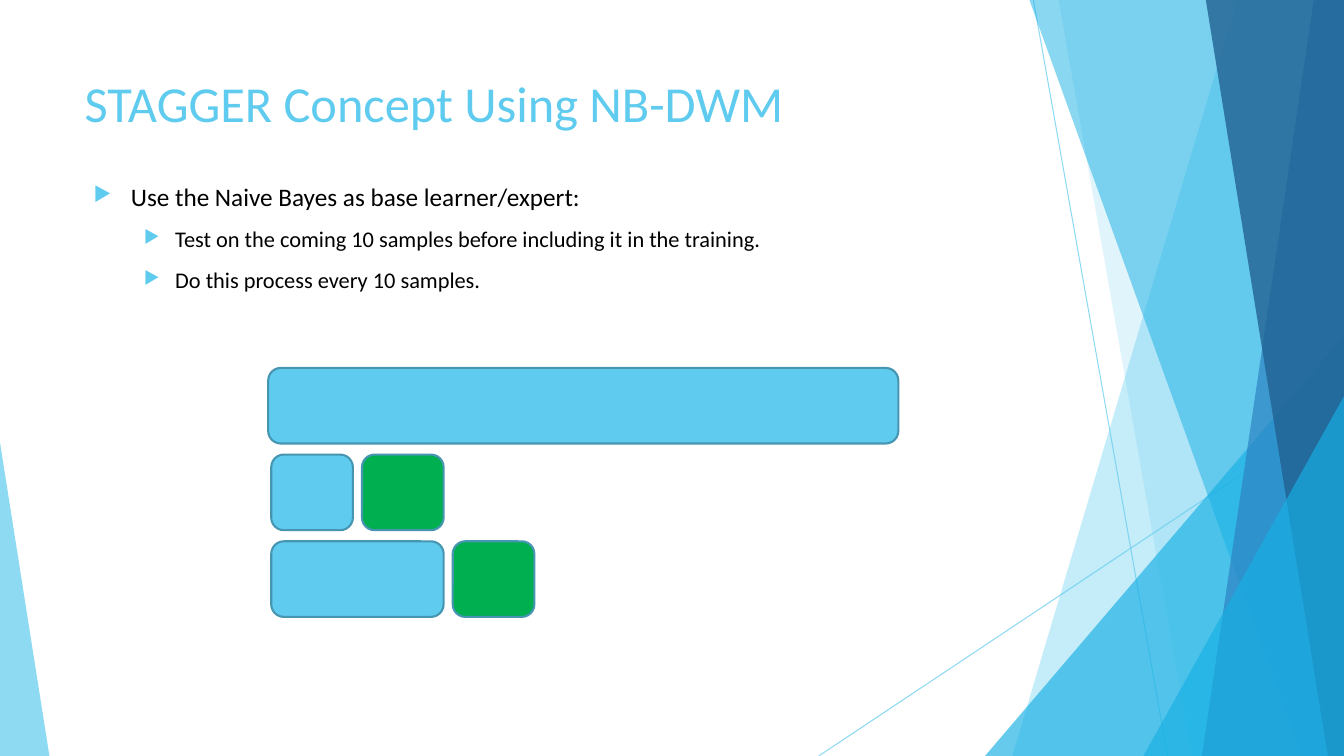
import pptx
import pptx.dml.color
import pptx.enum.shapes
import pptx.oxml
import pptx.oxml.ns
import pptx.util
from pptx.util import Inches

SKY, AQUA, BLUE, NAVY = "5FCBEF", "17B0E4", "2E83C3", "226292"
EDGE, GREEN, BLACK = "4696B1", "00B050", "000000"
WIDE, HIGH = 13.33, 7.5
KIND = pptx.enum.shapes.MSO_SHAPE


def rgb(code):
    return pptx.dml.color.RGBColor.from_string(code)


def add_xml(parent, tag, **attrs):
    """Append a DrawingML element to parent and return it."""
    node = parent.makeelement(pptx.oxml.ns.qn(tag), attrs)
    parent.append(node)
    return node


class Page:
    font = "Calibri"

    def __init__(self, slide):
        self.slide = slide
        self.shapes = slide.shapes

    def tint(self, fill, color, alpha=100):
        """Set a solid fill with the given opacity in percent."""
        fill.solid()
        fill.fore_color.rgb = rgb(color)
        if alpha < 100:
            node = fill._xPr.find(".//" + pptx.oxml.ns.qn("a:srgbClr"))
            add_xml(node, "a:alpha", val=str(alpha * 1000))

    def line(self, x1, y1, x2, y2):
        link = self.shapes.add_connector(
            pptx.enum.shapes.MSO_CONNECTOR.STRAIGHT,
            Inches(x1), Inches(y1), Inches(x2), Inches(y2))
        link.line.width = pptx.util.Pt(0.75)
        self.tint(link.line.fill, SKY, 70)
        add_xml(link._element.spPr, "a:effectLst")

    def facet(self, points, color, alpha):
        """Draw a borderless, see-through polygon."""
        spots = [(Inches(x), Inches(y)) for x, y in points]
        build = self.shapes.build_freeform(*spots[0])
        build.add_line_segments(spots[1:], close=True)
        self.plain(build.convert_to_shape(), color, alpha)

    def wedge(self, x, y, w, h, peak, color, alpha):
        """Draw a triangle whose apex sits at the fraction peak of its width."""
        shape = self.shapes.add_shape(
            KIND.ISOSCELES_TRIANGLE, Inches(x), Inches(y), Inches(w), Inches(h))
        shape.adjustments[0] = peak
        self.plain(shape, color, alpha)

    def plain(self, shape, color, alpha):
        shape.shadow.inherit = False
        shape.line.fill.background()
        self.tint(shape.fill, color, alpha)

    def block(self, x, y, w, h, color):
        shape = self.shapes.add_shape(
            KIND.ROUNDED_RECTANGLE, Inches(x), Inches(y), Inches(w), Inches(h))
        shape.shadow.inherit = False
        self.tint(shape.fill, color)
        shape.line.color.rgb = rgb(EDGE)
        shape.line.width = pptx.util.Pt(1.5)

    def frame(self, x, y, w, h):
        box = self.shapes.add_textbox(Inches(x), Inches(y), Inches(w), Inches(h))
        box.text_frame.word_wrap = True
        return box.text_frame

    def add_text(self, para, text, size, color):
        run = para.add_run()
        run.text = text
        run.font.name = self.font
        run.font.size = pptx.util.Pt(size)
        run.font.color.rgb = rgb(color)

    def title(self, text):
        frame = self.frame(0.74, 0.67, 9.4, 1.44)
        self.add_text(frame.paragraphs[0], text, 36, SKY)

    def bullets(self, items):
        frame = self.frame(0.83, 1.75, 8.83, 5.58)
        styles = [(0.37, 0.37, 18), (0.81, 0.31, 16)]
        for i, (level, text) in enumerate(items):
            para = frame.add_paragraph() if i else frame.paragraphs[0]
            left, hang, size = styles[level]
            para.level = level
            props = para._p.get_or_add_pPr()
            props.set("marL", str(Inches(left)))
            props.set("indent", str(-Inches(hang)))
            add_xml(add_xml(props, "a:buClr"), "a:srgbClr", val=SKY)
            add_xml(props, "a:buSzPct", val="80000")
            add_xml(props, "a:buChar", char="▶")
            if i:
                para.space_before = pptx.util.Pt(10)
            self.add_text(para, text, size, BLACK)


def backdrop(page):
    page.line(10.25, 0, 11.58, HIGH)
    page.line(WIDE, 4.03, 8.12, HIGH)

    def band(top, foot, color, alpha):
        """Fill from a slanted left edge to the slide's right edge."""
        page.facet([(top, 0), (WIDE, 0), (WIDE, HIGH), (foot, HIGH)], color, alpha)

    band(12.27, 10.04, SKY, 36)
    band(10.5, 11.82, SKY, 20)
    page.wedge(9.77, 3.33, 3.56, 4.17, 1, AQUA, 66)
    band(10.21, 12.91, AQUA, 50)
    band(13.03, 11.92, BLUE, 70)
    band(11.96, 13.17, NAVY, 80)
    page.wedge(11.34, 3.93, 1.99, 3.57, 1, AQUA, 66)
    page.wedge(0, 4.39, 0.49, 3.11, 0, SKY, 70)


def samples(page):
    """Show all samples, then each growing training set and its test batch."""
    left, top, unit, tall = 2.69, 3.65, 0.81, 0.75
    step, pitch = 0.9, 0.86
    page.block(2.66, top, 6.25, tall, SKY)
    for row in (1, 2):
        y = top + row * pitch
        page.block(left, y, unit + (row - 1) * step, tall, SKY)
        page.block(left + row * step, y, unit, tall, GREEN)


def main():
    deck = pptx.Presentation()
    deck.slide_width, deck.slide_height = Inches(WIDE), Inches(HIGH)
    page = Page(deck.slides.add_slide(deck.slide_layouts[6]))
    backdrop(page)
    page.title("STAGGER Concept Using NB-DWM")
    page.bullets([
        (0, "Use the Naive Bayes as base learner/expert:"),
        (1, "Test on the coming 10 samples before including it in the training."),
        (1, "Do this process every 10 samples."),
    ])
    samples(page)
    deck.save("out.pptx")


if __name__ == "__main__":
    main()
